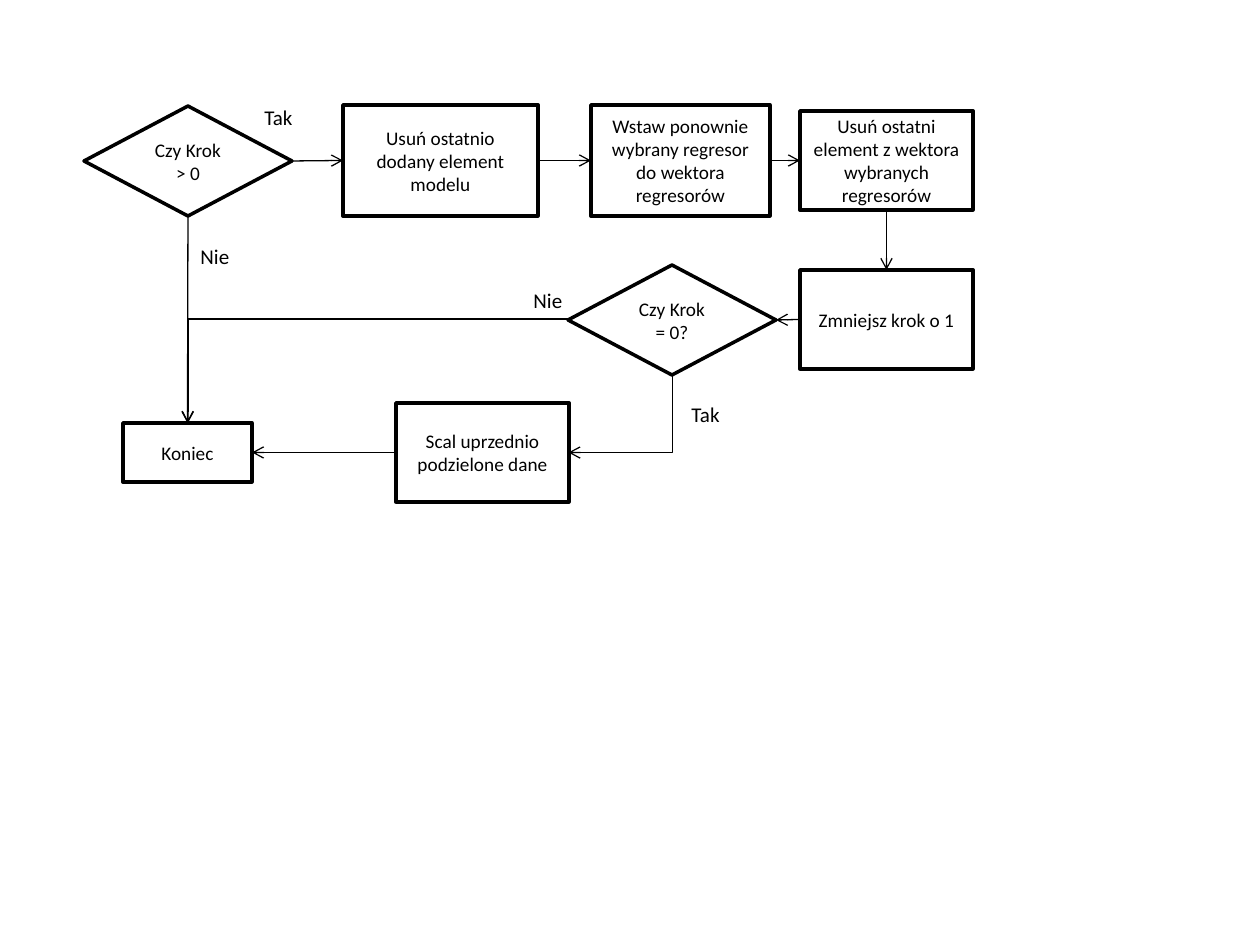
from lxml import etree
from pptx import Presentation
from pptx.dml.color import RGBColor
from pptx.enum.shapes import MSO_CONNECTOR, MSO_SHAPE
from pptx.enum.text import MSO_ANCHOR, MSO_AUTO_SIZE, PP_ALIGN
from pptx.oxml.ns import qn
from pptx.util import Emu, Pt

RECT = MSO_SHAPE.RECTANGLE
TEST = MSO_SHAPE.FLOWCHART_DECISION
LINE = MSO_CONNECTOR.STRAIGHT
BENT = MSO_CONNECTOR.ELBOW
TOP, LEFT, BOTTOM, RIGHT = range(4)
BLACK, WHITE = "000000", "FFFFFF"
SCALE = 914400 / 126


def px(n):
    return Emu(round(n * SCALE))


def color(code):
    return RGBColor.from_string(code)


def write(frame, text, size, align):
    frame.word_wrap = True
    par = frame.paragraphs[0]
    par.alignment = align
    run = par.add_run()
    run.text = text
    run.font.name = "Calibri"
    run.font.size = Pt(size)
    run.font.color.rgb = color(BLACK)


def add_node(slide, kind, text, *area):
    node = slide.shapes.add_shape(kind, *map(px, area))
    node.shadow.inherit = False
    node.fill.solid()
    node.fill.fore_color.rgb = color(WHITE)
    node.line.color.rgb = color(BLACK)
    node.line.width = Pt(2)
    node.text_frame.vertical_anchor = MSO_ANCHOR.MIDDLE
    write(node.text_frame, text, 11, PP_ALIGN.CENTER)
    return node


def add_label(slide, text, x, y):
    box = slide.shapes.add_textbox(px(x), px(y), px(69), px(38))
    write(box.text_frame, text, 12, PP_ALIGN.LEFT)
    box.text_frame.auto_size = MSO_AUTO_SIZE.SHAPE_TO_FIT_TEXT


def add_arrow(slide, kind, *ends):
    arrow = slide.shapes.add_connector(kind, *map(px, ends))
    arrow.line.color.rgb = color(BLACK)
    arrow.line.width = Pt(0.75)
    props = arrow._element.spPr
    etree.SubElement(props.find(qn("a:ln")), qn("a:tailEnd"), type="arrow")
    etree.SubElement(props, qn("a:effectLst"))
    return arrow


def join(slide, start, out, end, into):
    arrow = add_arrow(slide, LINE, 0, 0, 0, 0)
    arrow.begin_connect(start, out)
    arrow.end_connect(end, into)


def add_bend(slide, *ends, turn=0):
    """Arrow with one corner, turned clockwise by whole degrees."""
    props = add_arrow(slide, BENT, *ends)._element.spPr
    props.find(qn("a:prstGeom")).set("prst", "bentConnector2")
    if turn:
        props.find(qn("a:xfrm")).set("rot", str(turn * 60000))


def main():
    prs = Presentation()
    prs.slide_width, prs.slide_height = px(1260), px(945)
    slide = prs.slides.add_slide(prs.slide_layouts[6])

    # Steps and decisions
    drop = add_node(slide, RECT, "Usuń ostatnio dodany element modelu",
                    343, 105, 195, 111)
    put = add_node(slide, RECT,
                   "Wstaw ponownie wybrany regresor do wektora regresorów",
                   591, 105, 179, 111)
    trim = add_node(slide, RECT,
                    "Usuń ostatni element z wektora wybranych regresorów",
                    800, 111, 173, 99)
    less = add_node(slide, RECT, "Zmniejsz krok o 1", 800, 270, 173, 99)
    more = add_node(slide, TEST, "Czy Krok > 0", 84, 106, 208, 110)
    zero = add_node(slide, TEST, "Czy Krok = 0?", 568, 265, 208, 110)
    stop = add_node(slide, RECT, "Koniec", 123, 423, 129, 59)
    merge = add_node(slide, RECT, "Scal uprzednio podzielone dane",
                     396, 403, 173, 99)

    # Straight arrows
    for link in (
        (more, RIGHT, drop, LEFT),
        (drop, RIGHT, put, LEFT),
        (put, RIGHT, trim, LEFT),
        (trim, BOTTOM, less, TOP),
        (less, LEFT, zero, RIGHT),
        (more, BOTTOM, stop, TOP),
        (merge, LEFT, stop, RIGHT),
    ):
        join(slide, *link)

    # Bent arrows out of the second decision
    add_bend(slide, 581, 361, 660, 465, turn=90)
    add_bend(slide, 568, 319, 188, 423)

    # Branch labels
    for text, x, y in (("Nie", 188, 237), ("Nie", 521, 281),
                       ("Tak", 679, 395), ("Tak", 252, 98)):
        add_label(slide, text, x, y)

    prs.save("out.pptx")


if __name__ == "__main__":
    main()
